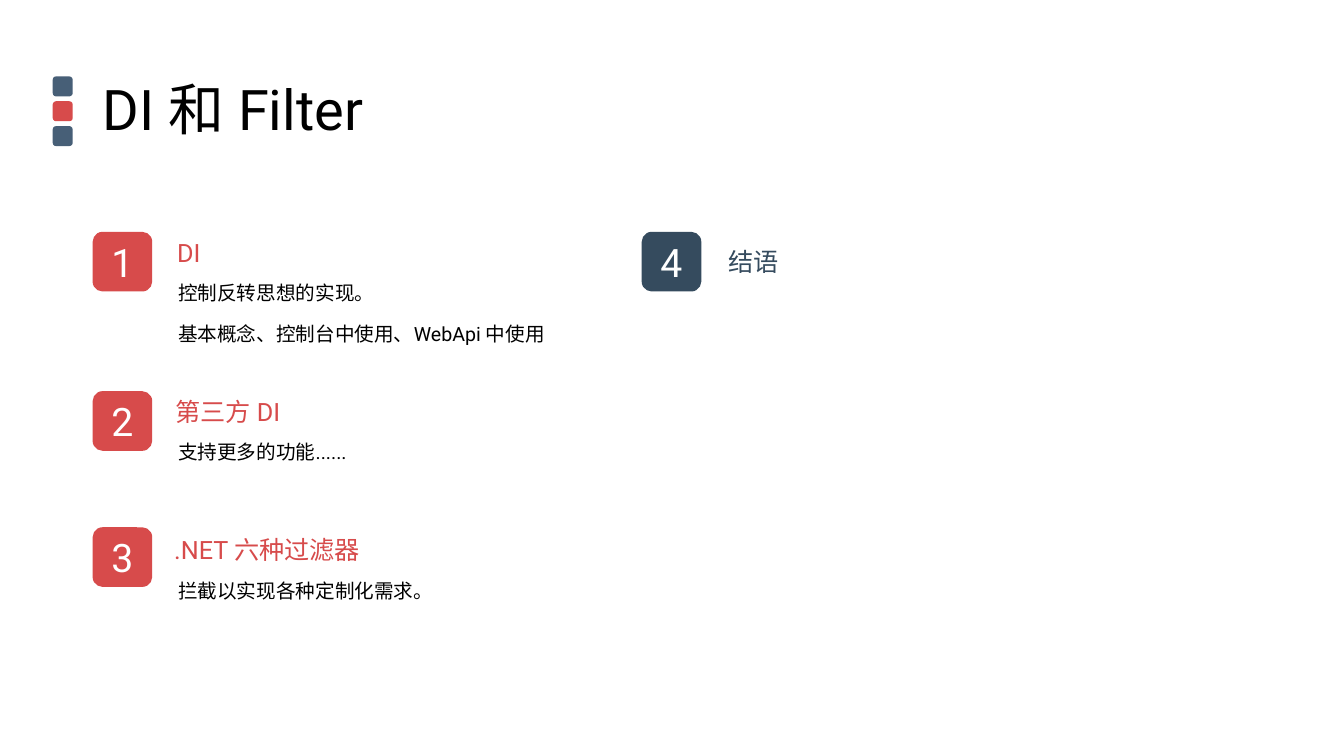
from dataclasses import dataclass

from lxml.etree import SubElement
from pptx import Presentation
from pptx.dml.color import RGBColor
from pptx.enum.shapes import MSO_SHAPE
from pptx.enum.text import MSO_ANCHOR, MSO_AUTO_SIZE, PP_ALIGN
from pptx.oxml.ns import qn
from pptx.shapes.autoshape import Shape
from pptx.slide import Slide
from pptx.text.text import TextFrame
from pptx.util import Pt

FONT = "Roboto"
RED, NAVY, SLATE = "D74B4B", "354B5E", "475F77"
BLACK, WHITE = "000000", "FFFFFF"
BADGE = 42.6
BODY_LEFT, BODY_WIDTH = 120.2, 359.3


@dataclass
class Topic:
    num: str
    left: float
    top: float
    color: str
    head: str
    head_left: float
    head_top: float
    head_width: float
    body: str = ""
    body_height: float = 26.6


TOPICS = [
    Topic("1", 66.2, 165.6, RED, "DI", 119.5, 165.6, 33.1,
          "控制反转思想的实现。\n基本概念、控制台中使用、WebApi 中使用", 55.4),
    Topic("2", 66.2, 279.4, RED, "第三方 DI", 118.1, 279.4, 95.8,
          "支持更多的功能......"),
    Topic("3", 66.2, 376.6, RED, ".NET 六种过滤器", 117.4, 378.3, 151.9,
          "拦截以实现各种定制化需求。"),
    Topic("4", 458.6, 165.6, NAVY, "结语", 513.4, 172.1, 50.4),
]


def rgb(code: str) -> RGBColor:
    return RGBColor.from_string(code)


def style(frame: TextFrame, size: float, color: str) -> None:
    """Format every run, for Latin and East Asian script alike."""
    for para in frame.paragraphs:
        for run in para.runs:
            run.font.size = Pt(size)
            run.font.color.rgb = rgb(color)
            run.font.name = FONT
            SubElement(run._r.get_or_add_rPr(), qn("a:ea"), typeface=FONT)


def add_tile(slide: Slide, left: float, top: float, side: float,
             color: str) -> Shape:
    tile = slide.shapes.add_shape(MSO_SHAPE.ROUNDED_RECTANGLE, Pt(left),
                                  Pt(top), Pt(side), Pt(side))
    tile.shadow.inherit = False
    tile.fill.solid()
    tile.fill.fore_color.rgb = rgb(color)
    tile.line.fill.background()
    return tile


def add_text(slide: Slide, text: str, left: float, top: float, width: float,
             height: float, size: float, color: str,
             wrap: bool = True) -> TextFrame:
    box = slide.shapes.add_textbox(Pt(left), Pt(top), Pt(width), Pt(height))
    frame = box.text_frame
    frame.text = text
    frame.word_wrap = wrap
    style(frame, size, color)
    return frame


def add_title(slide: Slide) -> None:
    for row, color in enumerate((SLATE, RED, SLATE)):
        add_tile(slide, 37.7, 54.6 + row * 17.75, 14.3, color)
    frame = add_text(slide, "DI 和 Filter", 66.2, 37.4, 828, 85, 40, BLACK)
    frame.vertical_anchor = MSO_ANCHOR.MIDDLE
    frame.paragraphs[0].line_spacing = 0.9


def add_topic(slide: Slide, topic: Topic) -> None:
    badge = add_tile(slide, topic.left, topic.top, BADGE, topic.color)
    frame = badge.text_frame
    frame.text = topic.num
    frame.vertical_anchor = MSO_ANCHOR.MIDDLE
    frame.paragraphs[0].alignment = PP_ALIGN.CENTER
    style(frame, 28, WHITE)

    head = add_text(slide, topic.head, topic.head_left, topic.head_top,
                    topic.head_width, 29, 18, topic.color, wrap=False)
    head.auto_size = MSO_AUTO_SIZE.SHAPE_TO_FIT_TEXT

    if topic.body:
        body = add_text(slide, topic.body, BODY_LEFT, topic.head_top + 29,
                        BODY_WIDTH, topic.body_height, 14, BLACK)
        body.auto_size = MSO_AUTO_SIZE.SHAPE_TO_FIT_TEXT
        for para in body.paragraphs:
            para.line_spacing = 1.14
            para.space_after = Pt(10)


def main() -> None:
    deck = Presentation()
    deck.slide_width, deck.slide_height = Pt(960.5), Pt(540)
    slide = deck.slides.add_slide(deck.slide_layouts[6])
    add_title(slide)
    for topic in TOPICS:
        add_topic(slide, topic)
    deck.save("out.pptx")


if __name__ == "__main__":
    main()
